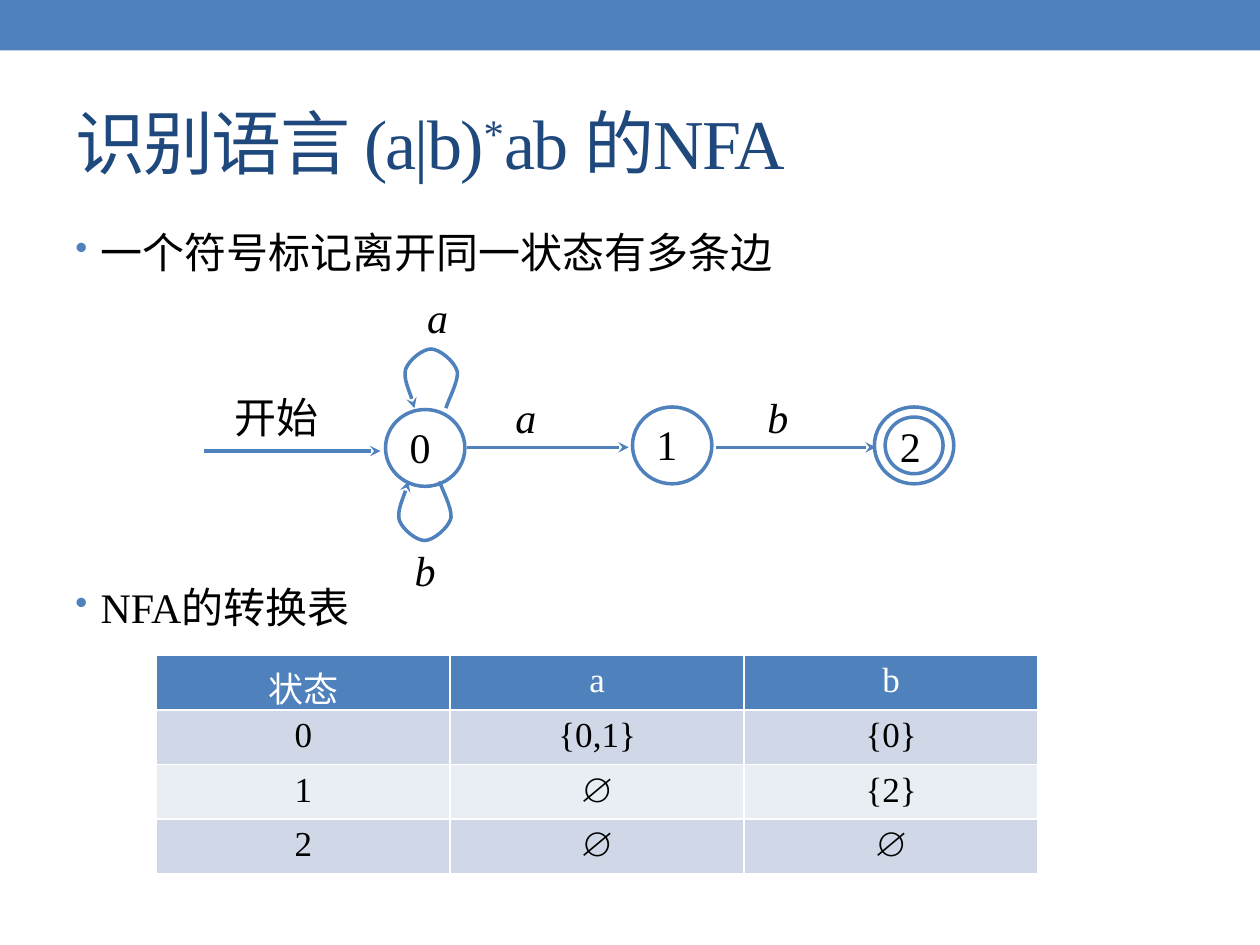
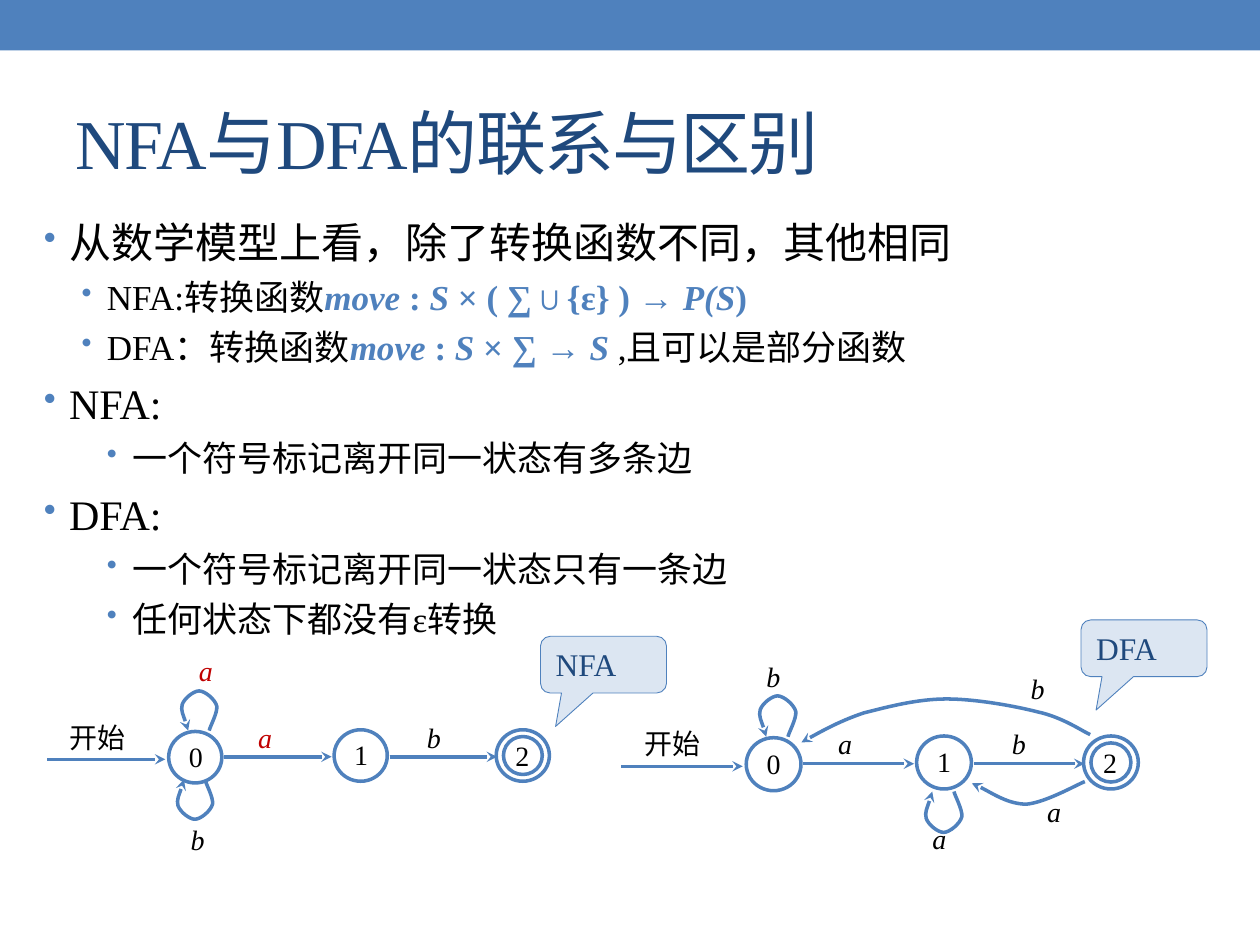
import dataclasses
import lxml.etree
import pptx
import pptx.dml.color
import pptx.enum.shapes
import pptx.enum.text
import pptx.oxml.ns
import pptx.util


@dataclasses.dataclass(frozen=True)
class Theme:
    font: str = "Times New Roman"
    blue: str = "4F81BD"
    navy: str = "1F497D"
    pale: str = "DCE6F2"
    red: str = "C00000"
    black: str = "000000"
    white: str = "FFFFFF"
    bands: tuple = ("E9EDF4", "D0D8E8")
    title: int = 40
    body: int = 24
    sub: int = 20
    call: int = 18
    small: int = 16


theme = Theme()
rgb = pptx.dml.color.RGBColor.from_string
qn = pptx.oxml.ns.qn
make = lxml.etree.SubElement
kinds = pptx.enum.shapes.MSO_SHAPE
anchor = pptx.enum.text.MSO_ANCHOR
align = pptx.enum.text.PP_ALIGN

prs = pptx.Presentation()
prs.slide_width = pptx.util.Inches(10)
prs.slide_height = pptx.util.Inches(7.5)
cell = prs.slide_width / 100


def span(*cells):
    """Turn square cells of a grid, 100 to the slide's width, into lengths."""
    return [round(c * cell) for c in cells]


def write(par, text, size=theme.body, color=theme.black, bold=False,
          italic=False, side=align.LEFT, **marks):
    """Add a run to a paragraph; marks become attributes of the run."""
    par.alignment = side
    run = par.add_run()
    run.text = text
    font = run.font
    font.name, font.size = theme.font, pptx.util.Pt(size)
    font.bold, font.italic = bold, italic
    font.color.rgb = rgb(color)
    for name, value in marks.items():
        font._element.set(name, str(value))


# Slides, titles and the shared band
layout = prs.slide_layouts[5]
titles = [
    [("识别语言 (a|b)", {}), ("*", {"baseline": 30000}), ("ab 的NFA", {})],
    [("NFA与DFA的联系与区别", {})],
]
slides = []
for runs in titles:
    slide = prs.slides.add_slide(layout)
    title = slide.shapes.title
    title.left, title.top, title.width, title.height = span(5, 5.8, 90, 10.8)
    title.text_frame.vertical_anchor = anchor.MIDDLE
    for text, marks in runs:
        write(title.text_frame.paragraphs[0], text, theme.title, theme.navy,
              spc=-100, **marks)
    slides.append(slide)

band = slides[0].shapes.add_shape(kinds.RECTANGLE, *span(0, 0, 100, 4))
band.fill.solid()
band.fill.fore_color.rgb = rgb(theme.blue)
band.line.fill.background()
band.shadow.inherit = False
band.element.xpath(".//p:cNvPr")[0].set("id", "99")
layout.shapes.element.append(band.element)

# Bulleted text: left margin, size, gap above in points, runs
math = {"color": theme.blue, "bold": True}
var = {**math, "italic": True}
many = "一个符号标记离开同一状态有多条边"
near, far = theme.sub * 0.24, theme.body * 0.24
bodies = [
    ((5, 17.5), [
        (2, theme.body, far, [(many, {})]),
        (2, theme.body, 174, [("NFA的转换表", {})]),
    ]),
    ((2.5, 16.7), [
        (2, theme.body, far, [("从数学模型上看，除了转换函数不同，其他相同", {})]),
        (5, theme.sub, near, [
            ("NFA:转换函数", {}), ("move", var), (" : ", math), ("S ", var),
            ("× ( ∑∪{ε} ) → ", math), ("P(S", var), (")", math)]),
        (5, theme.sub, near, [
            ("DFA：转换函数", {}), ("move ", var), (": ", math), ("S ", var),
            ("× ∑ → ", math), ("S ", var), (",且可以是部分函数", {})]),
        (2, theme.body, far, [("NFA:", {})]),
        (7, theme.sub, near, [(many, {})]),
        (2, theme.body, far, [("DFA:", {})]),
        (7, theme.sub, near, [("一个符号标记离开同一状态只有一条边", {})]),
        (7, theme.sub, near, [("任何状态下都没有ε转换", {})]),
    ]),
]
for slide, (spot, items) in zip(slides, bodies):
    frame = slide.shapes.add_textbox(*span(*spot, 90, 53.3)).text_frame
    frame.word_wrap = True
    for n, (left, size, gap, runs) in enumerate(items):
        par = frame.add_paragraph() if n else frame.paragraphs[0]
        par.level = int(left > 2)
        par.space_before = pptx.util.Pt(gap)
        for text, form in runs:
            write(par, text, size, **form)
        props = par._p.get_or_add_pPr()
        props.set("marL", str(span(left)[0]))
        props.set("indent", str(span(-2)[0]))
        make(make(props, qn("a:buClr")), qn("a:srgbClr"), val=theme.blue)
        make(props, qn("a:buSzPct"), val="85000")
        make(props, qn("a:buChar"), char="•")

# State machines, measured from the centre of state 0 at full scale
states = [(0, 0), (19.6, -0.2), (38.8, -0.2)]
edges = [(-17.55, -3.55, 0.25), (3.35, 16.15, -0.05), (23.05, 35.75, -0.05)]
loop = [(1.65, -3.15),
        (1.75, -3.65), (2.65, -5.25), (2.55, -6.05),
        (2.35, -6.85), (1.15, -7.85), (0.45, -7.85),
        (-0.15, -7.85), (-1.25, -7.05), (-1.55, -6.25),
        (-1.75, -5.55), (-0.95, -3.75), (-0.85, -3.15)]
above = loop
below = [(x - 0.5, -y - 0.5) for x, y in loop]
under = [(x + 19.1, -y) for x, y in loop]
arch = [(36.4, -3.4),
        (35.5, -3.8), (33.2, -5.4), (30.4, -6),
        (27.7, -6.7), (23.2, -7.5), (19.9, -7.5),
        (16.5, -7.5), (13.2, -6.6), (10.4, -5.9),
        (7.7, -5), (4.6, -3.3), (3.2, -2.5)]
back = [(35.8, 2),
        (34.8, 2.4), (31.3, 4.4), (29.1, 4.6),
        (27, 4.6), (24.1, 2.7), (22.8, 2.2)]
tags = [("a", 6.55, -4.75), ("b", 26.55, -4.75)]
nfa = tags + [("a", -0.45, -12.75), ("b", -1.45, 7.35)]
dfa = tags + [("b", -1.7, -12.5), ("a", 17.4, 6.2),
              ("a", 30.6, 3), ("b", 28.7, -11.1)]
machines = [
    # slide, centre of state 0, scale, type size, curves, labels, red labels
    (slides[0], 33.75, 35.55, 1, theme.body, [above, below], nfa, ()),
    (slides[1], 15.5, 60.1, 0.67, theme.small, [above, below], nfa, (0, 2)),
    (slides[1], 61.4, 60.65, 0.69, theme.small,
     [above, under, arch, back], dfa, ()),
]
for slide, x, y, zoom, size, curves, labels, reds in machines:
    shapes = slide.shapes
    arrows = []
    for start, end, dy in edges:
        arrows.append(shapes.add_connector(
            pptx.enum.shapes.MSO_CONNECTOR.STRAIGHT,
            *span(x + zoom * start, y + zoom * dy,
                  x + zoom * end, y + zoom * dy)))
    for curve in curves:
        dots = [span(x + zoom * dx, y + zoom * dy) for dx, dy in curve]
        pen = shapes.build_freeform(*dots[0])
        pen.add_line_segments(dots[1:], close=False)
        shape = pen.convert_to_shape()
        shape.fill.background()
        # Each three straight steps become one cubic curve
        steps = shape.element.xpath(".//a:lnTo")
        trail = steps[0].getparent()
        for n in range(0, len(steps), 3):
            bend = make(trail, qn("a:cubicBezTo"))
            for step in steps[n:n + 3]:
                bend.append(step[0])
                trail.remove(step)
        arrows.append(shape)

    rings = [(*spot, 6.3, 6.1, str(n)) for n, spot in enumerate(states)]
    rings[2] = (*states[2], 6.3, 6.1, "")
    rings.append((*states[2], 4.6, 4.5, "2"))
    circles = []
    for dx, dy, wide, high, text in rings:
        ring = shapes.add_shape(kinds.OVAL, *span(
            x + zoom * (dx - wide / 2), y + zoom * (dy - high / 2),
            zoom * wide, zoom * high))
        ring.fill.background()
        frame = ring.text_frame
        frame.vertical_anchor = anchor.MIDDLE
        pads = (0.5, 0, 0.1, 0) if wide < 6 else (1, 0.3, 0.2, 0.5)
        (frame.margin_left, frame.margin_top,
         frame.margin_right, frame.margin_bottom) = span(*pads)
        if text:
            write(frame.paragraphs[0], text, size)
        circles.append(ring)

    for shape in arrows + circles:
        shape.line.color.rgb = rgb(theme.blue)
        shape.line.width = pptx.util.Pt(2)
        if shape in arrows:
            make(shape.element.xpath(".//a:ln")[0], qn("a:tailEnd"),
                 type="stealth")
        make(shape.element.spPr, qn("a:effectLst"))

    for n, (text, dx, dy) in enumerate(labels + [("开始", -15.75, -4.75)]):
        word = len(text) > 1
        wide, high = (10.3, 5.7) if word else (5.1, 4.9)
        frame = shapes.add_textbox(*span(
            x + zoom * dx, y + zoom * dy, zoom * wide, zoom * high)).text_frame
        frame.word_wrap = True
        frame.margin_left, frame.margin_top = span(0.6, 0.3)
        frame.margin_right, frame.margin_bottom = span(0.6, 0.3)
        write(frame.paragraphs[0], text, size, italic=not word,
              color=theme.red if n in reds else theme.black)

# Transition table
rows = [("状态", "a", "b"), ("0", "{0,1}", "{0}"),
        ("1", "∅", "{2}"), ("2", "∅", "∅")]
table = slides[0].shapes.add_table(4, 3, *span(12.4, 52, 70, 16.8)).table
for r, row in enumerate(rows):
    table.rows[r].height = span(4.2)[0]
    for c, text in enumerate(row):
        box = table.cell(r, c)
        box.fill.solid()
        box.fill.fore_color.rgb = rgb(theme.bands[r % 2] if r else theme.blue)
        write(box.text_frame.paragraphs[0], text, theme.sub,
              theme.black if r else theme.white, side=align.CENTER)

# Callouts that name the two machines
for text, left, top in [("DFA", 85.8, 49.2), ("NFA", 42.9, 50.5)]:
    call = slides[1].shapes.add_shape(
        kinds.ROUNDED_RECTANGULAR_CALLOUT, *span(left, top, 10, 4.5))
    for n, value in enumerate((-0.38, 1.09, 0.17)):
        call.adjustments[n] = value
    call.fill.solid()
    call.fill.fore_color.rgb = rgb(theme.pale)
    call.line.color.rgb = rgb(theme.blue)
    call.line.width = pptx.util.Pt(0.5)
    call.shadow.inherit = False
    call.text_frame.vertical_anchor = anchor.TOP
    write(call.text_frame.paragraphs[0], text, theme.call, theme.navy)

prs.save("out.pptx")
